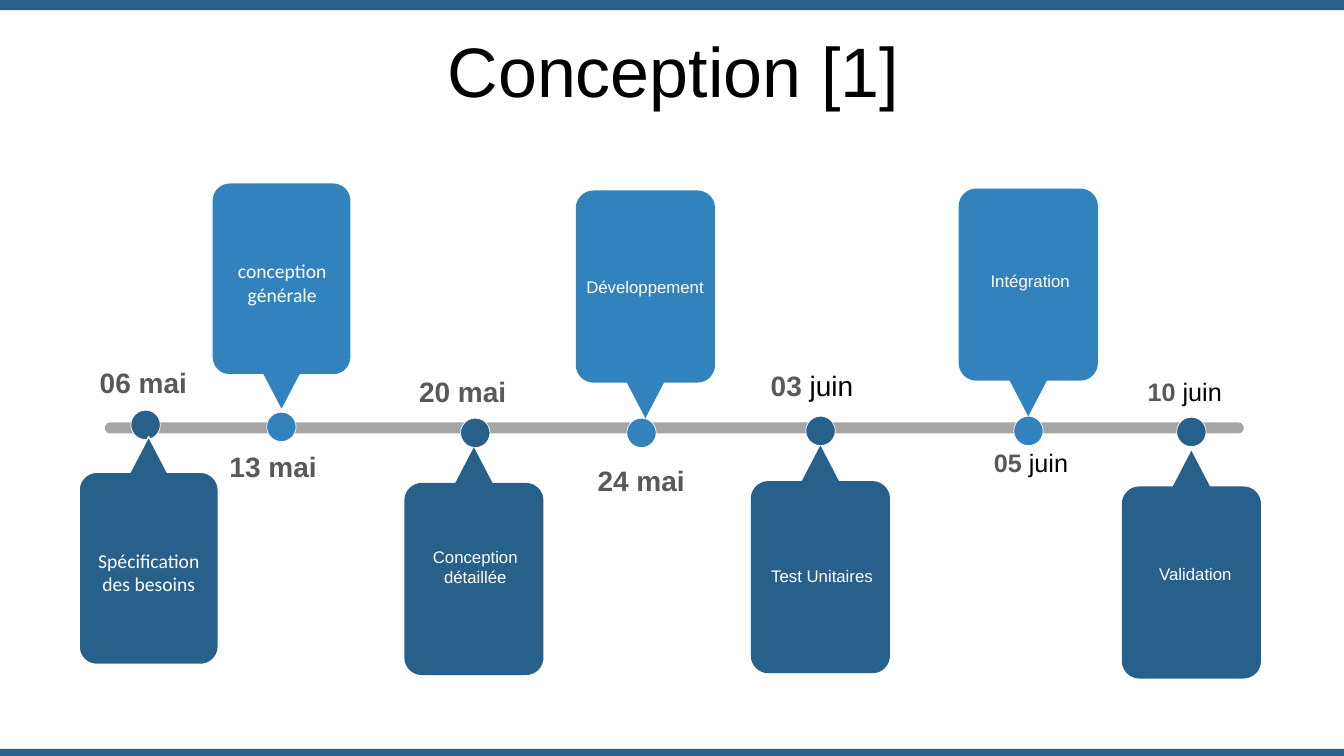
import pptx
import pptx.util
import pptx.dml.color
import pptx.enum.shapes
import pptx.enum.text
import pptx.oxml.ns
import lxml.etree

Pt = pptx.util.Pt
qn = pptx.oxml.ns.qn
SHAPES = pptx.enum.shapes.MSO_SHAPE
MIDDLE = pptx.enum.text.MSO_ANCHOR.MIDDLE
CENTER = pptx.enum.text.PP_ALIGN.CENTER

DARK, LIGHT, WHITE, BLACK, DATE = "28608C", "3282BE", "FFFFFF", "000000", "595959"

MILESTONES = [
    dict(day="06", month="mai", date_at=(102.4, 273), dot=(104, 303.5), tip=(106.2, 311.9),
         text="Spécification des besoins", text_at=(106.3, 408.6), side=1,
         font="Calibri", size=14, line=WHITE),
    dict(day="20", month="mai", date_at=(330.5, 279.5), dot=(339.5, 309.2), tip=(338.5, 319.5),
         text="Conception détaillée", text_at=(339.5, 404.6), side=1),
    dict(day="03", month="juin", date_at=(580, 275.2), dot=(586.1, 307.8), tip=(586, 318.2),
         text="Test Unitaires", text_at=(587.2, 411.1), side=1),
    dict(day="13", month="mai", date_at=(195.1, 333.4), dot=(201, 304.9), tip=(201.1, 293.3),
         text="conception générale", text_at=(201.6, 202), side=-1,
         font="Calibri", size=14, line=WHITE),
    dict(day="24", month="mai", date_at=(458, 343.4), dot=(458.2, 309.2), tip=(461, 298.8),
         text="Développement", text_at=(460.8, 205.2), side=-1),
    dict(day="05", month="juin", date_at=(736.4, 330.5), dot=(734.6, 307.8), tip=(734.5, 297.4),
         text="Intégration", text_at=(735.9, 200.9), side=-1, date_size=18),
    dict(day="10", month="juin", date_at=(846.2, 279.5), dot=(851, 308.5), tip=(851, 322),
         text="Validation", text_at=(853.9, 409.7), side=1, date_size=18),
]


def color(value):
    return pptx.dml.color.RGBColor.from_string(value)


def add_text(p, text, font="Arial", size=12, fill=WHITE, bold=False):
    r = p.add_run()
    r.text = text
    r.font.name = font
    r.font.size = Pt(size)
    r.font.bold = bold
    r.font.color.rgb = color(fill)


class Timeline:
    box_w, box_h, radius = 99.4, 137.2, 12.5
    tail_h, tail_half = 25.5, 13.3
    dot_d = 21

    def __init__(self, slide):
        self.slide = slide

    def paint(self, sp, fill, line=None, width=1):
        sp.shadow.inherit = False
        sp.fill.solid()
        sp.fill.fore_color.rgb = color(fill)
        if line:
            sp.line.color.rgb = color(line)
            sp.line.width = Pt(width)
        else:
            sp.line.fill.background()

    def shape(self, kind, x, y, w, h, fill, line=None, width=1):
        sp = self.slide.shapes.add_shape(kind, Pt(x), Pt(y), Pt(w), Pt(h))
        self.paint(sp, fill, line, width)
        return sp

    def title(self, text):
        sp = self.slide.shapes.title
        sp.left, sp.top, sp.width, sp.height = Pt(25.3), Pt(26.6), Pt(911.5), Pt(57)
        tf = sp.text_frame
        tf.vertical_anchor = MIDDLE
        tf.auto_size = pptx.enum.text.MSO_AUTO_SIZE.NONE
        p = tf.paragraphs[0]
        p.alignment = CENTER
        p.line_spacing = 0.8
        p.space_before = Pt(10)
        add_text(p, text, size=50, fill=BLACK)

    def axis(self):
        sp = self.shape(SHAPES.ROUNDED_RECTANGLE, 74.9, 301.7, 813.6, 7.9, "808080")
        sp.adjustments[0] = 0.5
        tag = next(sp.element.spPr.iter(qn("a:srgbClr")))
        lxml.etree.SubElement(tag, qn("a:alpha"), val="70000")

    def dot(self, center, fill):
        x, y = center
        d = self.dot_d
        self.shape(SHAPES.OVAL, x - d / 2, y - d / 2, d, d, fill, WHITE, 0.5)

    def callout(self, tip, side, fill, line=None):
        half, r = self.box_w / 2, self.radius
        near, far = self.tail_h, self.tail_h + self.box_h
        corners = [((half, near), (-r, 0), (0, r)), ((half, far), (0, -r), (-r, 0)),
                   ((-half, far), (r, 0), (0, -r)), ((-half, near), (0, r), (r, 0))]
        points = [(0, 0), (self.tail_half, near)]
        for (cx, cy), enter, leave in corners:
            for (dx, dy), part in [(enter, 1), (enter, 0.45), (leave, 0.45), (leave, 1)]:
                points.append((cx + part * dx, cy + part * dy))
        points.append((-self.tail_half, near))
        outline = [(Pt(tip[0] + x), Pt(tip[1] + side * y)) for x, y in points]
        fb = self.slide.shapes.build_freeform(*outline[0])
        fb.add_line_segments(outline[1:], close=True)
        sp = fb.convert_to_shape()
        self.round_corners(sp, len(corners))
        self.paint(sp, fill, line)

    def round_corners(self, sp, count):
        segments = list(sp.element.iter(qn("a:lnTo")))
        for i in range(count):
            first = 2 + 4 * i
            trio = segments[first:first + 3]
            curve = lxml.etree.Element(qn("a:cubicBezTo"))
            trio[0].addprevious(curve)
            for segment in trio:
                curve.append(segment[0])
                segment.getparent().remove(segment)

    def label(self, center, h=40):
        x, y = center
        w = self.box_w
        sp = self.slide.shapes.add_textbox(Pt(x - w / 2), Pt(y - h / 2), Pt(w), Pt(h))
        tf = sp.text_frame
        tf.word_wrap = True
        tf.vertical_anchor = MIDDLE
        p = tf.paragraphs[0]
        p.alignment = CENTER
        return p

    def milestone(self, day, month, date_at, dot, tip, text, text_at, side,
                  font="Arial", size=12, line=None, date_size=20):
        fill = DARK if side > 0 else LIGHT
        self.dot(dot, fill)
        self.callout(tip, side, fill, line)
        add_text(self.label(text_at), text, font=font, size=size)
        p = self.label(date_at, h=32)
        if month == "mai":
            add_text(p, f"{day} {month}", size=date_size, fill=DATE, bold=True)
        else:
            add_text(p, f"{day} ", size=date_size, fill=DATE, bold=True)
            add_text(p, month, size=date_size, fill=BLACK)


def main():
    prs = pptx.Presentation()
    prs.slide_width, prs.slide_height = Pt(960), Pt(540)
    s = prs.slides.add_slide(prs.slide_layouts[5])
    timeline = Timeline(s)
    timeline.shape(SHAPES.RECTANGLE, 0, 0, 960, 7.2, DARK)
    timeline.shape(SHAPES.RECTANGLE, 0, 535, 960, 5, DARK)
    timeline.title("Conception [1]")
    timeline.axis()
    for item in MILESTONES:
        timeline.milestone(**item)
    prs.save("out.pptx")


if __name__ == "__main__":
    main()
